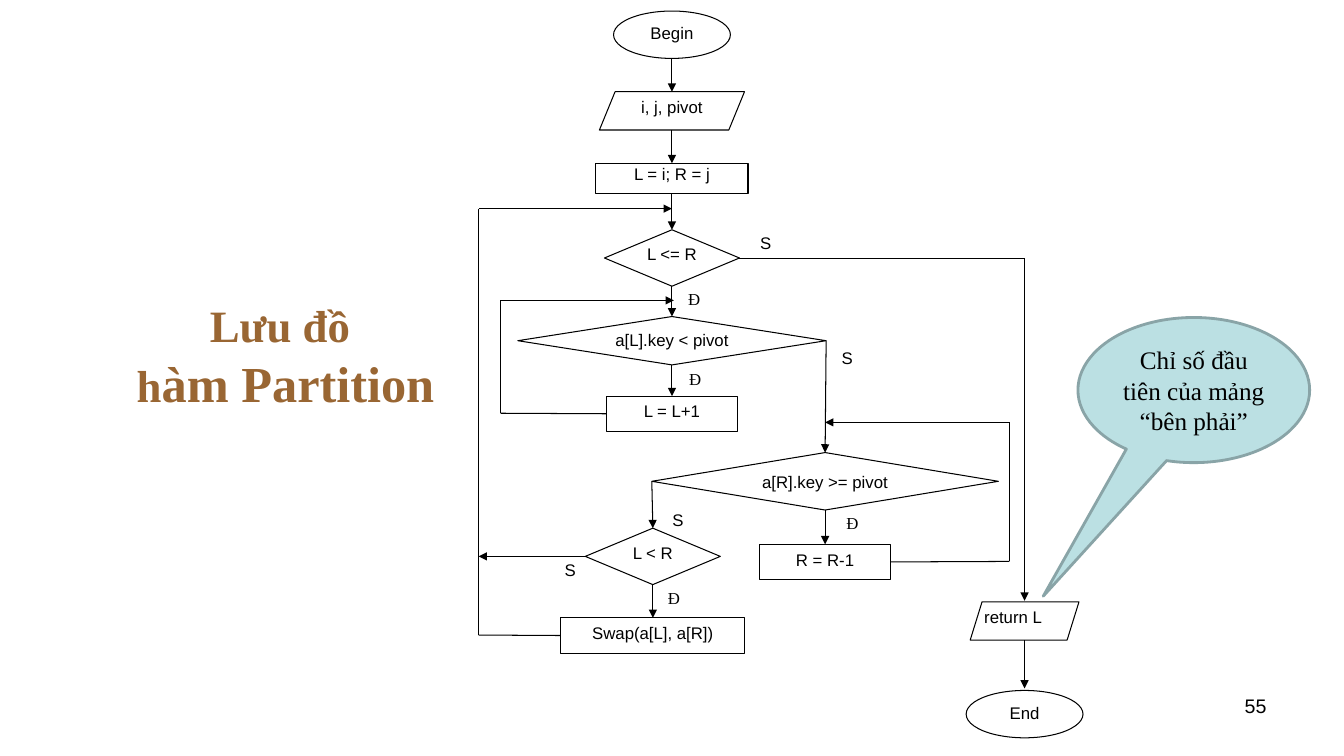
import pptx
import pptx.util
import pptx.dml.color
import pptx.enum.shapes
import pptx.enum.text
import pptx.oxml.ns
from lxml import etree

Inches, Pt = pptx.util.Inches, pptx.util.Pt
Shape = pptx.enum.shapes.MSO_SHAPE
Align = pptx.enum.text.PP_ALIGN
Anchor = pptx.enum.text.MSO_ANCHOR
qn = pptx.oxml.ns.qn
SANS, SERIF = "Arial", "Times New Roman"


def color(hex_string):
    return pptx.dml.color.RGBColor.from_string(hex_string)


def write(box, text, size, font=SANS, align=Align.CENTER, anchor=Anchor.TOP, inset=(0.1, 0.05)):
    """Put black text in a box, with horizontal and vertical insets in inches."""
    frame = box.text_frame
    across, down = map(Inches, inset)
    settings = {"word_wrap": True, "vertical_anchor": anchor, "margin_left": across,
                "margin_right": across, "margin_top": down, "margin_bottom": down}
    for name, value in settings.items():
        setattr(frame, name, value)
    para = frame.paragraphs[0]
    para.alignment = align
    span = para.add_run()
    span.text = text
    span.font.name, span.font.size = font, Pt(size)
    span.font.color.rgb = color("000000")


deck = pptx.Presentation()
deck.slide_width, deck.slide_height = Inches(13.34), Inches(7.5)
page = deck.slides.add_slide(deck.slide_layouts[5])

# Title
title = page.shapes.title
title.left, title.top, title.width, title.height = map(Inches, (0.67, 2.9, 4.33, 1.25))
title.text_frame.auto_size = pptx.enum.text.MSO_AUTO_SIZE.NONE
title.text_frame.vertical_anchor = Anchor.MIDDLE
para = title.text_frame.paragraphs[0]
para.alignment = Align.CENTER
for text, size in (("Lưu đồ ", 32), ("h", 32), ("àm Partition", 36)):
    span = para.add_run()
    span.text = text
    span.font.name, span.font.size, span.font.bold = SERIF, Pt(size), True
    span.font.color.rgb = color("996633")
    if text == "Lưu đồ ":
        para.add_line_break()

# Flowchart columns (centre lines) and the vertical runs of the loops
MAIN, RIGHT, SWAP, EXIT = 6.67, 8.19, 6.48, 10.17
OUTER, INNER, RIGHT_LOOP = 4.75, 4.97, 10.02
PADDED, TIGHT = (0.1, 0.05), (0, 0)

# text, shape, centre, top, width, height, insets
steps = [
    ("Begin", Shape.OVAL, MAIN, 0.11, 1.16, 0.47, PADDED),
    ("i, j, pivot", Shape.PARALLELOGRAM, MAIN, 0.91, 1.44, 0.38, TIGHT),
    ("L = i; R = j", Shape.RECTANGLE, MAIN, 1.62, 1.51, 0.3, TIGHT),
    ("L <= R", Shape.FLOWCHART_DECISION, MAIN, 2.28, 1.34, 0.56, TIGHT),
    ("a[L].key < pivot", Shape.FLOWCHART_DECISION, MAIN, 3.14, 3.06, 0.48, (0, 0.01)),
    ("L = L+1", Shape.RECTANGLE, MAIN, 3.93, 1.3, 0.35, PADDED),
    ("a[R].key >= pivot", Shape.FLOWCHART_DECISION, RIGHT, 4.49, 3.44, 0.57, PADDED),
    ("R = R-1", Shape.RECTANGLE, RIGHT, 5.4, 1.3, 0.35, PADDED),
    ("L < R", Shape.FLOWCHART_DECISION, SWAP, 5.24, 1.34, 0.56, TIGHT),
    ("Swap(a[L], a[R])", Shape.RECTANGLE, SWAP, 6.13, 1.83, 0.35, PADDED),
    ("return L", Shape.PARALLELOGRAM, EXIT, 5.97, 1.08, 0.38, TIGHT),
    ("End", Shape.OVAL, EXIT, 6.85, 1.16, 0.47, PADDED),
]
slants = {"i, j, pivot": 0.41, "return L": 0.31}
boxes = {}
for text, kind, centre, top, width, height, inset in steps:
    box = page.shapes.add_shape(kind, *map(Inches, (centre - width / 2, top, width, height)))
    box.shadow.inherit = False
    box.fill.solid()
    box.fill.fore_color.rgb = color("FFFFFF")
    box.line.color.rgb, box.line.width = color("000000"), Pt(0.75)
    if text in slants:
        box.adjustments[0] = slants[text]
    write(box, text, 12, align=Align.LEFT if text == "return L" else Align.CENTER, inset=inset)
    boxes[text] = box

# Branch labels: Đ for true, S for false
labels = [("S", 7.44, 2.31), ("Đ", 6.73, 2.86), ("S", 8.25, 3.45), ("Đ", 6.74, 3.66),
          ("S", 6.57, 5.06), ("Đ", 8.3, 5.09), ("S", 5.5, 5.55), ("Đ", 6.53, 5.83)]
for text, left, top in labels:
    label = page.shapes.add_textbox(*map(Inches, (left, top, 0.32, 0.21)))
    write(label, text, 12, font=SERIF if text == "Đ" else SANS, inset=TIGHT)

# Flow lines: each end is a point or a step's side
TOP, LEFT, BOTTOM, RIGHT_SIDE = range(4)
arrows = [
    ((MAIN, 0.58), (MAIN, 0.91)),
    ((MAIN, 1.29), ("L = i; R = j", TOP)),
    (("L = i; R = j", BOTTOM), ("L <= R", TOP)),
    (("L <= R", BOTTOM), ("a[L].key < pivot", TOP)),
    (("a[L].key < pivot", BOTTOM), ("L = L+1", TOP)),
    (("a[L].key < pivot", RIGHT_SIDE), ("a[R].key >= pivot", TOP)),
    (("a[R].key >= pivot", BOTTOM), ("R = R-1", TOP)),
    (("a[R].key >= pivot", LEFT), ("L < R", TOP)),
    (("L < R", BOTTOM), ("Swap(a[L], a[R])", TOP)),
    (("L < R", LEFT), (OUTER, 5.52)),
    ((OUTER, 2.07), (MAIN, 2.07)),
    ((INNER, 2.98), (MAIN + 0.02, 2.98)),
    ((RIGHT_LOOP, 4.19), (RIGHT, 4.19)),
    ((EXIT, 2.56), (EXIT, 5.96)),
    ((EXIT, 6.35), (EXIT, 6.83)),
]
plain_lines = [
    (("L <= R", RIGHT_SIDE), (EXIT, 2.56)),
    (("L = L+1", LEFT), (INNER, 4.1)),
    ((INNER, 4.1), (INNER, 2.98)),
    (("R = R-1", RIGHT_SIDE), (RIGHT_LOOP, 5.57)),
    ((RIGHT_LOOP, 5.57), (RIGHT_LOOP, 4.19)),
    (("Swap(a[L], a[R])", LEFT), (OUTER, 6.3)),
    ((OUTER, 6.3), (OUTER, 2.07)),
]
for index, ends in enumerate(arrows + plain_lines):
    points = [(0, 0) if end[0] in boxes else end for end in ends]
    line = page.shapes.add_connector(pptx.enum.shapes.MSO_CONNECTOR.STRAIGHT,
                                     *map(Inches, points[0] + points[1]))
    for end, connect in zip(ends, (line.begin_connect, line.end_connect)):
        if end[0] in boxes:
            connect(boxes[end[0]], end[1])
    line.line.color.rgb, line.line.width = color("000000"), Pt(0.75)
    if index < len(arrows):
        etree.SubElement(line.line._get_or_add_ln(), qn("a:tailEnd"), type="triangle")
    etree.SubElement(line._element.spPr, qn("a:effectLst"))

# Callout on the returned index
callout = page.shapes.add_shape(Shape.OVAL_CALLOUT, *map(Inches, (10.7, 3.15, 2.3, 1.44)))
callout.adjustments[0], callout.adjustments[1] = -0.65, 1.42
callout.shadow.inherit = False
callout.fill.solid()
callout.fill.fore_color.rgb = color("BBE0E3")
callout.line.color.rgb, callout.line.width = color("89A4A7"), Pt(2)
write(callout, "Chỉ số đầu tiên của mảng “bên phải”", 18, font=SERIF, anchor=Anchor.MIDDLE)

number = page.shapes.add_textbox(*map(Inches, (9.56, 6.83, 3.11, 0.52)))
write(number, "55", 14, align=Align.RIGHT)

deck.save("out.pptx")
